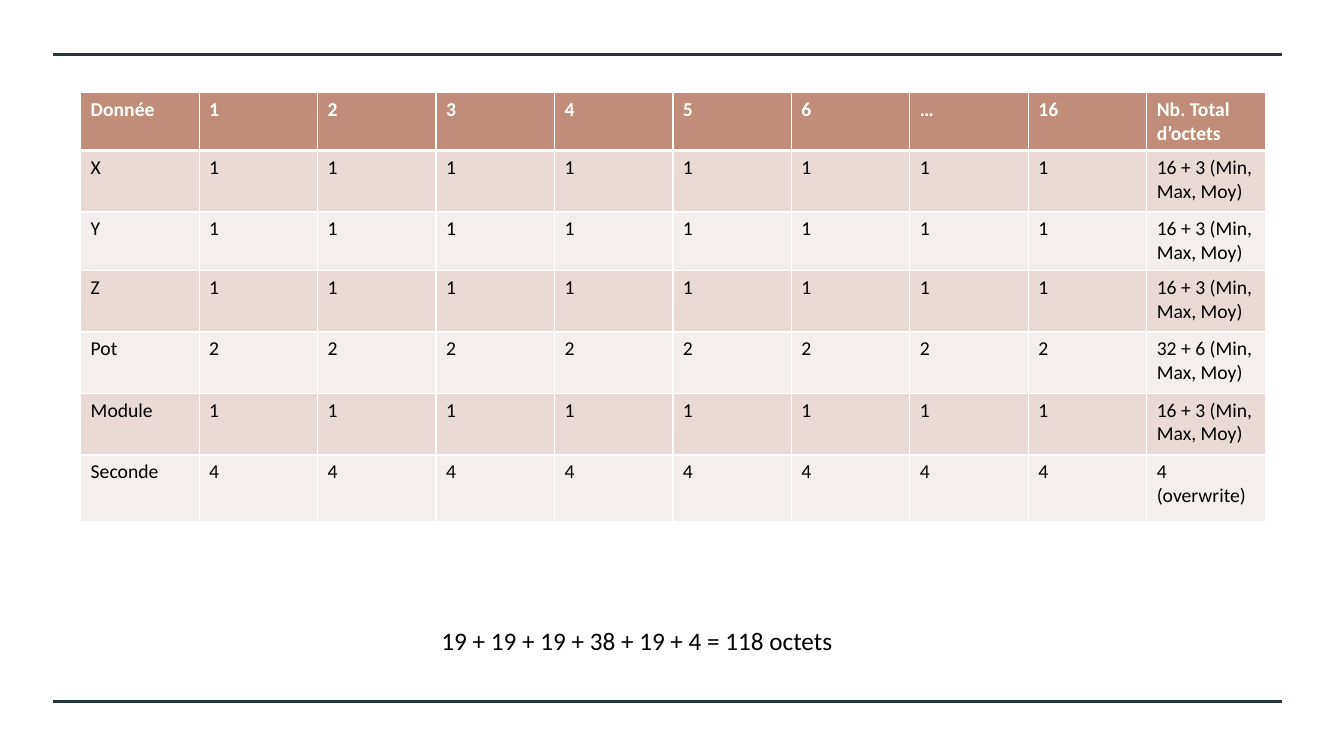
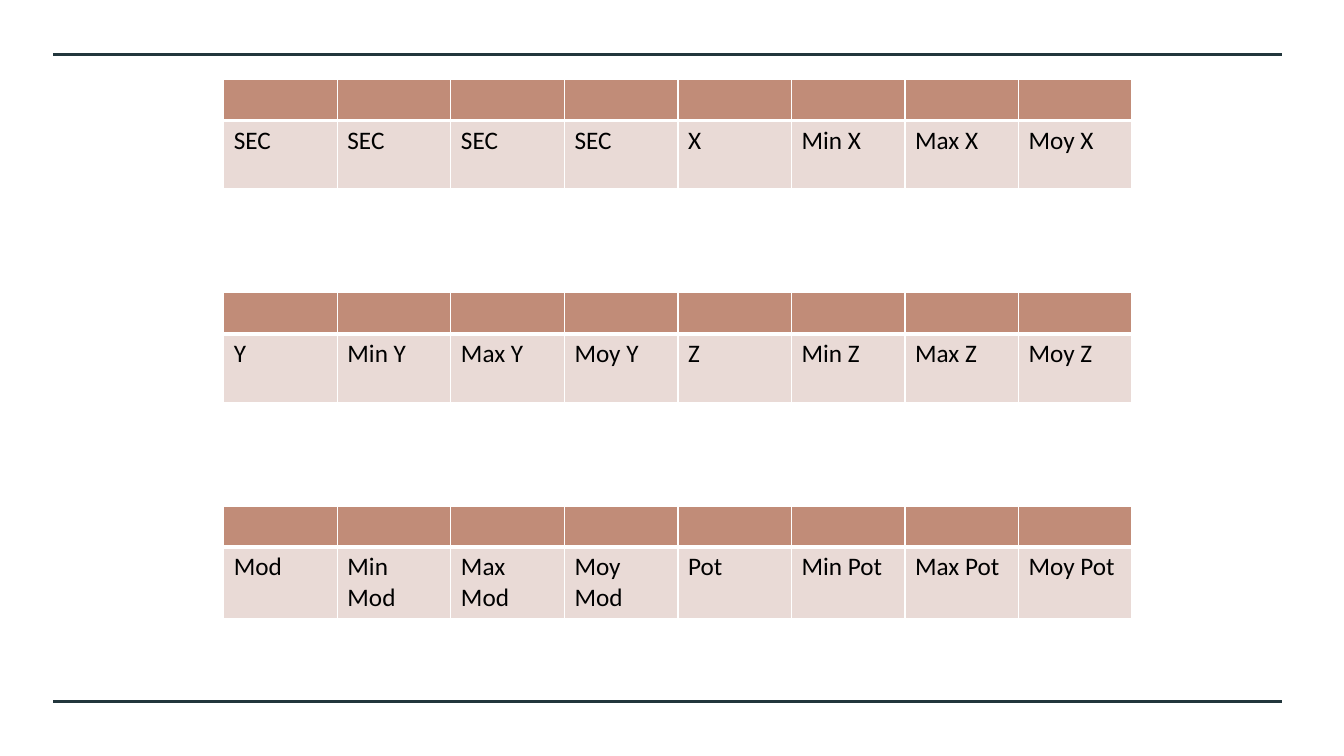
from lxml import etree
from pptx import Presentation
from pptx.dml.color import RGBColor
from pptx.enum.shapes import MSO_CONNECTOR
from pptx.enum.text import MSO_AUTO_SIZE
from pptx.oxml.ns import qn
from pptx.util import Inches, Pt

LINE = MSO_CONNECTOR.STRAIGHT
GROW = MSO_AUTO_SIZE.SHAPE_TO_FIT_TEXT
NAVY = RGBColor(0x22, 0x36, 0x3C)
CLAY = RGBColor(0xC1, 0x8C, 0x78)
ROSE = RGBColor(0xE9, 0xDA, 0xD6)
PALE = RGBColor(0xF4, 0xEE, 0xEC)
WHITE = RGBColor(0xFF, 0xFF, 0xFF)
BLACK = RGBColor(0, 0, 0)
FACE = "Calibri"
WIDE, HIGH = 13.33, 7.5
RULES = (0.54, 6.96)
SPAN = (0.53, 12.72)

HEAD = ["Donnée", "1", "2", "3", "4", "5", "6", "…", "16", "Nb. Total d’octets"]
DATA = [
    ("X", "1", "16 + 3 (Min, Max, Moy)"),
    ("Y", "1", "16 + 3 (Min, Max, Moy)"),
    ("Z", "1", "16 + 3 (Min, Max, Moy)"),
    ("Pot", "2", "32 + 6 (Min, Max, Moy)"),
    ("Module", "1", "16 + 3 (Min, Max, Moy)"),
    ("Seconde", "4", "4\n(overwrite)"),
]
TALL = [0.57, 0.61, 0.58, 0.61, 0.61, 0.61, 0.66]
TOTAL = "19 + 19 + 19 + 38 + 19 + 4 = 118 octets"

STATS = ["", "Min ", "Max ", "Moy "]
FRAMES = [
    ["SEC"] * 4 + [stat + "X" for stat in STATS],
    [stat + name for name in "YZ" for stat in STATS],
    [stat + name for name in ("Mod", "Pot") for stat in STATS],
]
FIRST, STEP = 0.79, 2.115


def style(text, **form):
    for para in text.paragraphs:
        for run in para.runs:
            run.font.color.rgb = form["color"]
            for key in ("name", "size", "bold"):
                setattr(run.font, key, form[key])


def edge(cell, side, width):
    line = etree.SubElement(cell._tc.get_or_add_tcPr(), qn("a:ln" + side), w=str(Pt(width)))
    fill = etree.SubElement(line, qn("a:solidFill"))
    etree.SubElement(fill, qn("a:srgbClr"), val=str(WHITE))


def grid(slide, left, top, width, tall, rows, size):
    count = len(rows[0])
    frame = slide.shapes.add_table(len(rows), count, Inches(left), Inches(top),
                                   Inches(width), Inches(sum(tall)))
    table = frame.table
    table.horz_banding = False
    for col in table.columns:
        col.width = Inches(width / count)
    for r, words in enumerate(rows):
        table.rows[r].height = Inches(tall[r])
        tint = CLAY if r == 0 else (PALE, ROSE)[r % 2]
        for c, word in enumerate(words):
            cell = table.cell(r, c)
            for side in "LRTB":
                thick = (r, side) in ((0, "B"), (1, "T"))
                edge(cell, side, 3 if thick else 1)
            cell.fill.solid()
            cell.fill.fore_color.rgb = tint
            cell.text = word
            style(cell.text_frame, name=FACE, size=Pt(size), bold=r == 0,
                  color=WHITE if r == 0 else BLACK)


def page(deck):
    slide = deck.slides.add_slide(deck.slide_layouts[6])
    for y in RULES:
        rule = slide.shapes.add_connector(LINE, Inches(SPAN[0]), Inches(y),
                                          Inches(SPAN[1]), Inches(y))
        rule.line.color.rgb = NAVY
        rule.line.width = Pt(2.25)
        etree.SubElement(rule._element.spPr, qn("a:effectLst"))
    return slide


def main():
    deck = Presentation()
    deck.slide_width, deck.slide_height = Inches(WIDE), Inches(HIGH)

    slide = page(deck)
    rows = [HEAD] + [[name] + [size] * 8 + [total] for name, size, total in DATA]
    grid(slide, 0.8, 0.92, 11.75, TALL, rows, 14)
    box = slide.shapes.add_textbox(Inches(4.28), Inches(6.15), Inches(4.78), Inches(0.4))
    text = box.text_frame
    text.word_wrap = True
    text.auto_size = GROW
    text.text = TOTAL
    style(text, name=FACE, size=Pt(18), bold=False, color=BLACK)

    slide = page(deck)
    for i, names in enumerate(FRAMES):
        grid(slide, 2.22, FIRST + i * STEP, 9.01, [0.4, 0.68], [[""] * 8, names], 18)

    deck.save("out.pptx")


if __name__ == "__main__":
    main()
